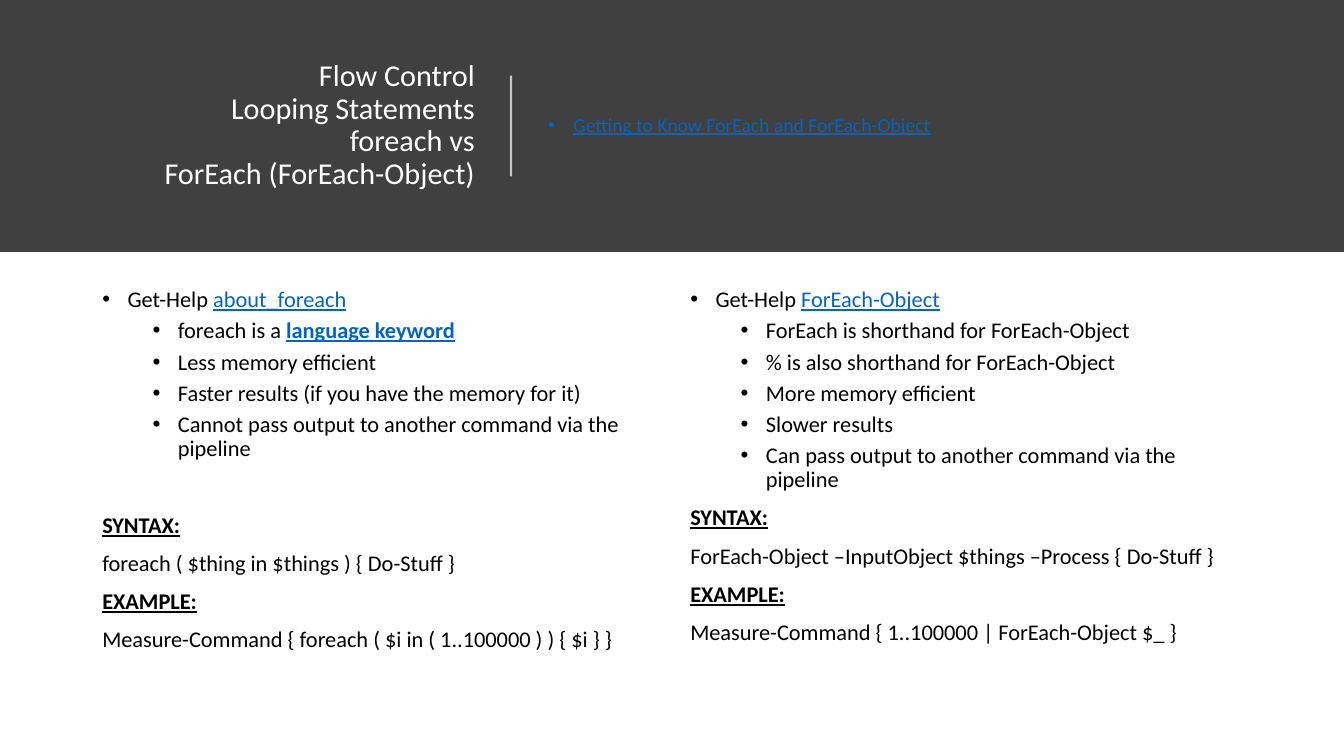
from lxml import etree
from pptx import Presentation
from pptx.dml.color import RGBColor
from pptx.enum import shapes, text
from pptx.oxml import ns
from pptx.util import Pt

TITLE = ["Flow Control", "Looping Statements", "foreach vs", "ForEach (ForEach-Object)"]
REFERENCE = [("top", [("Getting to Know ForEach and ForEach-Object", "link")])]
FOREACH = [
    ("top", [("Get-Help ", "plain"), ("about_foreach", "link")]),
    ("sub", [("foreach is a ", "plain"), ("language keyword", "strong link")]),
    ("sub", [("Less memory efficient", "plain")]),
    ("sub", [("Faster results (if you have the memory for it)", "plain")]),
    ("sub", [("Cannot pass output to another command via the pipeline", "plain")]),
    ("section", [("SYNTAX:", "heading")]),
    ("code", [("foreach ( $thing in $things ) { Do-Stuff }", "plain")]),
    ("code", [("EXAMPLE:", "heading")]),
    ("code", [("Measure-Command { foreach ( $i in ( 1..100000 ) ) { $i } }", "plain")]),
]
FOREACH_OBJECT = [
    ("top", [("Get-Help ", "plain"), ("ForEach-Object", "link")]),
    ("sub", [("ForEach is shorthand for ForEach-Object", "plain")]),
    ("sub", [("% is also shorthand for ForEach-Object", "plain")]),
    ("sub", [("More memory efficient", "plain")]),
    ("sub", [("Slower results", "plain")]),
    ("sub", [("Can pass output to another command via the pipeline", "plain")]),
    ("code", [("SYNTAX:", "heading")]),
    ("code", [("ForEach-Object –InputObject $things –Process { Do-Stuff }", "plain")]),
    ("code", [("EXAMPLE:", "heading")]),
    ("code", [("Measure-Command { 1..100000 | ForEach-Object $_ }", "plain")]),
]

COLORS = {"band": "404040", "white": "FFFFFF", "ink": "000000", "link": "0563C1"}
STYLES = {
    "plain": ("ink", False, False),
    "link": ("link", False, True),
    "strong link": ("link", True, True),
    "heading": ("ink", True, True),
}
LEVELS = {"top": (0, 18, 10), "sub": (1, 54, 5), "code": (0, 0, 10), "section": (0, 0, 37.6)}
HANG = 18
FONT = "Calibri"
WIDTH, HEIGHT, BAND_HEIGHT = 960, 540, 180
COLUMN_LEFT, COLUMN_STEP, COLUMN_TOP = 66, 420, 202.5
COLUMN_SIZE = (408, 284)


def rgb(name):
    return RGBColor.from_string(COLORS[name])


def add_frame(slide, left, top, width, height, anchor):
    frame = slide.shapes.add_textbox(Pt(left), Pt(top), Pt(width), Pt(height)).text_frame
    frame.word_wrap = True
    frame.vertical_anchor = anchor
    return frame


def set_indent(paragraph, margin):
    properties = paragraph._p.get_or_add_pPr()
    properties.set("marL", str(Pt(margin)))
    properties.set("indent", str(Pt(-HANG if margin else 0)))
    if margin:
        font = etree.SubElement(properties, ns.qn("a:buFont"))
        font.set("typeface", "Arial")
        etree.SubElement(properties, ns.qn("a:buChar")).set("char", "•")
    else:
        etree.SubElement(properties, ns.qn("a:buNone"))


def fill_list(frame, items, size):
    for index, (kind, pieces) in enumerate(items):
        paragraph = frame.add_paragraph() if index else frame.paragraphs[0]
        level, margin, gap = LEVELS[kind]
        set_indent(paragraph, margin)
        paragraph.level = level
        paragraph.line_spacing = 0.9
        paragraph.space_before = Pt(gap if index else 0)
        paragraph.font.name = FONT
        paragraph.font.size = Pt(size)
        for words, style in pieces:
            run = paragraph.add_run()
            run.text = words
            color, run.font.bold, run.font.underline = STYLES[style]
            run.font.color.rgb = rgb(color)


def add_band(slide):
    band = slide.shapes.add_shape(
        shapes.MSO_SHAPE.RECTANGLE, 0, 0, Pt(WIDTH), Pt(BAND_HEIGHT))
    band.shadow.inherit = False
    band.fill.solid()
    band.fill.fore_color.rgb = rgb("band")
    band.line.fill.background()


def add_title(slide):
    title = add_frame(slide, 62.6, 37.5, 283.7, 104.4, text.MSO_ANCHOR.MIDDLE).paragraphs[0]
    title.text = "\v".join(TITLE)
    title.alignment = text.PP_ALIGN.RIGHT
    title.line_spacing = 0.9
    title.font.name = FONT
    title.font.size = Pt(21.6)
    title.font.color.rgb = rgb("white")


def add_divider(slide):
    divider = slide.shapes.add_connector(
        shapes.MSO_CONNECTOR.STRAIGHT, Pt(365), Pt(126), Pt(365), Pt(54))
    divider.line.width = Pt(1.5)
    divider.line.color.rgb = rgb("white")
    tint = divider._element.spPr.find(".//" + ns.qn("a:srgbClr"))
    etree.SubElement(tint, ns.qn("a:alpha")).set("val", "70000")
    etree.SubElement(divider._element.spPr, ns.qn("a:effectLst"))


def main():
    deck = Presentation()
    deck.slide_width, deck.slide_height = Pt(WIDTH), Pt(HEIGHT)
    slide = deck.slides.add_slide(deck.slide_layouts[6])
    add_band(slide)
    add_title(slide)
    add_divider(slide)
    reference = add_frame(slide, 384.5, 32.4, 512.6, 115.2, text.MSO_ANCHOR.MIDDLE)
    fill_list(reference, REFERENCE, 14)
    for column, items in enumerate((FOREACH, FOREACH_OBJECT)):
        left = COLUMN_LEFT + column * COLUMN_STEP
        frame = add_frame(slide, left, COLUMN_TOP, *COLUMN_SIZE, text.MSO_ANCHOR.TOP)
        fill_list(frame, items, 16)
    deck.save("out.pptx")


if __name__ == "__main__":
    main()
